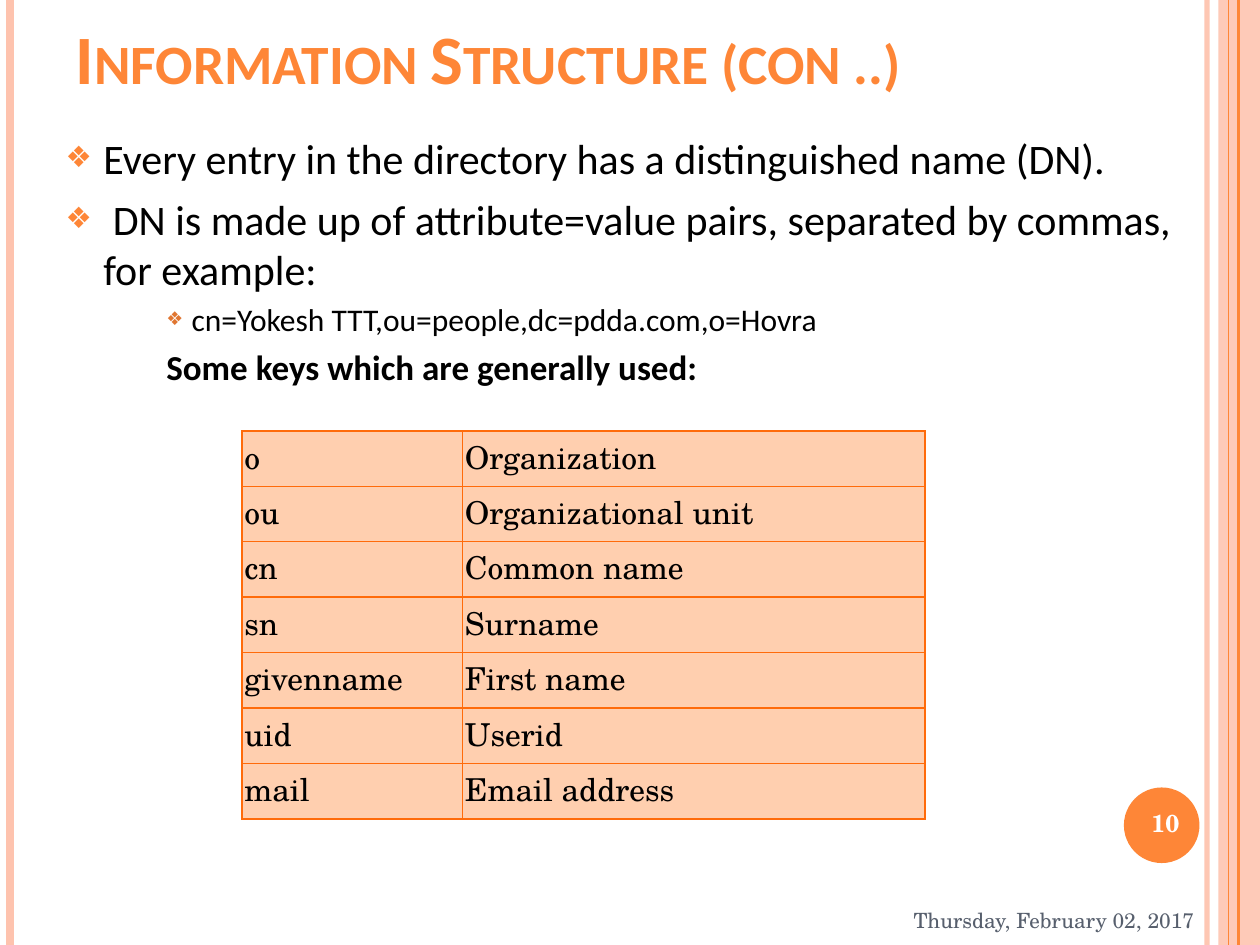
"""Build the slide on directory entries, distinguished names and their keys."""
from dataclasses import dataclass

from lxml.etree import SubElement
from pptx import Presentation
from pptx.dml.color import RGBColor
from pptx.enum.shapes import MSO_CONNECTOR, MSO_SHAPE
from pptx.enum.text import MSO_ANCHOR, MSO_AUTO_SIZE, PP_ALIGN
from pptx.oxml.ns import qn
from pptx.util import Inches, Pt

COLORS = {
    "orange": "FE8637",
    "peach": "FEC3AE",
    "rust": "E07631",
    "cell": "FFCFAF",
    "border": "FF6B0A",
    "slate": "575F6D",
    "black": "000000",
    "white": "FFFFFF",
}
SANS = "Calibri"
SERIF = "TeX Gyre Schola"


@dataclass
class Rule:
    left: float
    color: str
    width: float
    opacity: int = 100


@dataclass
class Bullet:
    text: str
    size: int
    level: int = 0
    margin: float = 0.3
    hanging: float = 0.3
    color: str = "orange"
    scale: int = 70
    marked: bool = True
    bold: bool = False


@dataclass
class Label:
    text: str
    left: float
    top: float
    width: float
    size: int
    color: str
    align: PP_ALIGN
    bold: bool = False


RULES = [
    Rule(9.58, "peach", 3, 93),
    Rule(0.08, "peach", 4.5),
    Rule(9.83, "orange", 1.5),
    Rule(9.75, "orange", 0.75),
]
BULLETS = [
    Bullet("Every entry in the directory has a distinguished name (DN).", 24),
    Bullet(" DN is made up of attribute=value pairs, separated by commas, for example:", 24),
    Bullet("cn=Yokesh TTT,ou=people,dc=pdda.com,o=Hovra ", 18, 2, 1, 0.2, "rust", 60),
    Bullet("Some keys which are generally used:", 20, 2, 1, 0.2, marked=False, bold=True),
]
LABELS = [
    Label("Thursday, February 02, 2017", 7.08, 7.1, 2.5, 12, "slate", PP_ALIGN.RIGHT),
    Label("10", 9, 6.33, 0.5, 14, "white", PP_ALIGN.CENTER, True),
]
KEYS = [
    ("o", "Organization"),
    ("ou", "Organizational unit"),
    ("cn", "Common name"),
    ("sn", "Surname"),
    ("givenname", "First name"),
    ("uid", "Userid"),
    ("mail", "Email address"),
]
COLUMN_WIDTHS = (1.75, 3.67)
ROW_HEIGHT = 0.44


def rgb(name: str) -> RGBColor:
    return RGBColor.from_string(COLORS[name])


def set_opacity(element, percent: int) -> None:
    color = next(element.iter(qn("a:srgbClr")))
    SubElement(color, qn("a:alpha")).set("val", str(percent * 1000))


def style_text(paragraph, size: float, font: str, color: str, bold: bool = False) -> None:
    for span in paragraph.runs:
        span.font.size = Pt(size)
        span.font.name = font
        span.font.bold = bold
        span.font.color.rgb = rgb(color)


def place(shape, left: float, top: float, width: float, height: float) -> None:
    shape.left, shape.top = Inches(left), Inches(top)
    shape.width, shape.height = Inches(width), Inches(height)


def draw_rule(page, rule: Rule) -> None:
    left = Inches(rule.left)
    line = page.shapes.add_connector(MSO_CONNECTOR.STRAIGHT, left, 0, left, Inches(7.5))
    line.line.color.rgb = rgb(rule.color)
    line.line.width = Pt(rule.width)
    properties = line.element.spPr
    if rule.opacity < 100:
        set_opacity(properties, rule.opacity)
    SubElement(properties, qn("a:effectLst"))


def draw_shape(page, kind: MSO_SHAPE, left: float, top: float, width: float, height: float, color: str):
    shape = page.shapes.add_shape(kind, Inches(left), Inches(top), Inches(width), Inches(height))
    shape.shadow.inherit = False
    shape.fill.solid()
    shape.fill.fore_color.rgb = rgb(color)
    shape.line.fill.background()
    return shape


def write_title(page) -> None:
    title = page.shapes.title
    place(title, 0.5, -0.42, 8.75, 1.25)
    frame = title.text_frame
    frame.text = "Information Structure (con ..)"
    frame.auto_size = MSO_AUTO_SIZE.NONE
    frame.vertical_anchor = MSO_ANCHOR.BOTTOM
    para = frame.paragraphs[0]
    para.alignment = PP_ALIGN.LEFT
    style_text(para, 39.6, SANS, "orange", True)
    para.runs[0].font._element.set("cap", "small")


def write_bullet(para, bullet: Bullet) -> None:
    para.text = bullet.text
    para.level = bullet.level
    if bullet.level == 0:
        para.space_before = Pt(6)
    style_text(para, bullet.size, SANS, "black", bullet.bold)
    properties = para._p.get_or_add_pPr()
    properties.set("marL", str(Inches(bullet.margin)))
    properties.set("indent", str(-Inches(bullet.hanging)))
    if not bullet.marked:
        SubElement(properties, qn("a:buNone"))
        return
    color = SubElement(properties, qn("a:buClr"))
    SubElement(color, qn("a:srgbClr")).set("val", COLORS[bullet.color])
    SubElement(properties, qn("a:buSzPct")).set("val", str(bullet.scale * 1000))
    SubElement(properties, qn("a:buChar")).set("char", "❖")


def write_body(page) -> None:
    body = page.placeholders[1]
    place(body, 0.42, 1, 9.05, 6.25)
    frame = body.text_frame
    frame.auto_size = MSO_AUTO_SIZE.NONE
    for index, bullet in enumerate(BULLETS):
        write_bullet(frame.add_paragraph() if index else frame.paragraphs[0], bullet)


def write_label(page, label: Label) -> None:
    box = page.shapes.add_textbox(Inches(label.left), Inches(label.top), Inches(label.width), Inches(0.4))
    frame = box.text_frame
    frame.word_wrap = True
    frame.vertical_anchor = MSO_ANCHOR.MIDDLE
    frame.text = label.text
    frame.paragraphs[0].alignment = label.align
    style_text(frame.paragraphs[0], label.size, SERIF, label.color, label.bold)


def format_cell(cell, text: str) -> None:
    cell.text = text
    cell.margin_left = cell.margin_right = cell.margin_top = cell.margin_bottom = Inches(0.02)
    style_text(cell.text_frame.paragraphs[0], 18, SERIF, "black")
    properties = cell._tc.get_or_add_tcPr()
    for side in ("a:lnL", "a:lnR", "a:lnT", "a:lnB"):
        line = SubElement(properties, qn(side), w=str(Pt(1)))
        fill = SubElement(line, qn("a:solidFill"))
        SubElement(fill, qn("a:srgbClr")).set("val", COLORS["border"])
    cell.fill.solid()
    cell.fill.fore_color.rgb = rgb("cell")


def draw_table(page) -> None:
    frame = page.shapes.add_table(len(KEYS), len(COLUMN_WIDTHS), Inches(1.92), Inches(3.42),
                                  Inches(sum(COLUMN_WIDTHS)), Inches(ROW_HEIGHT * len(KEYS)))
    table = frame.table
    for column, width in zip(table.columns, COLUMN_WIDTHS):
        column.width = Inches(width)
    for row, texts in zip(table.rows, KEYS):
        row.height = Inches(ROW_HEIGHT)
        for cell, text in zip(row.cells, texts):
            format_cell(cell, text)


deck = Presentation()
deck.slide_width, deck.slide_height = Inches(10), Inches(7.5)
page = deck.slides.add_slide(deck.slide_layouts[1])
band = draw_shape(page, MSO_SHAPE.RECTANGLE, 9.67, 0, 0.33, 7.5, "peach")
set_opacity(band.element.spPr, 87)
for rule in RULES:
    draw_rule(page, rule)
draw_shape(page, MSO_SHAPE.OVAL, 8.92, 6.25, 0.6, 0.6, "orange")
write_title(page)
write_body(page)
for label in LABELS:
    write_label(page, label)
draw_table(page)
deck.save("out.pptx")
